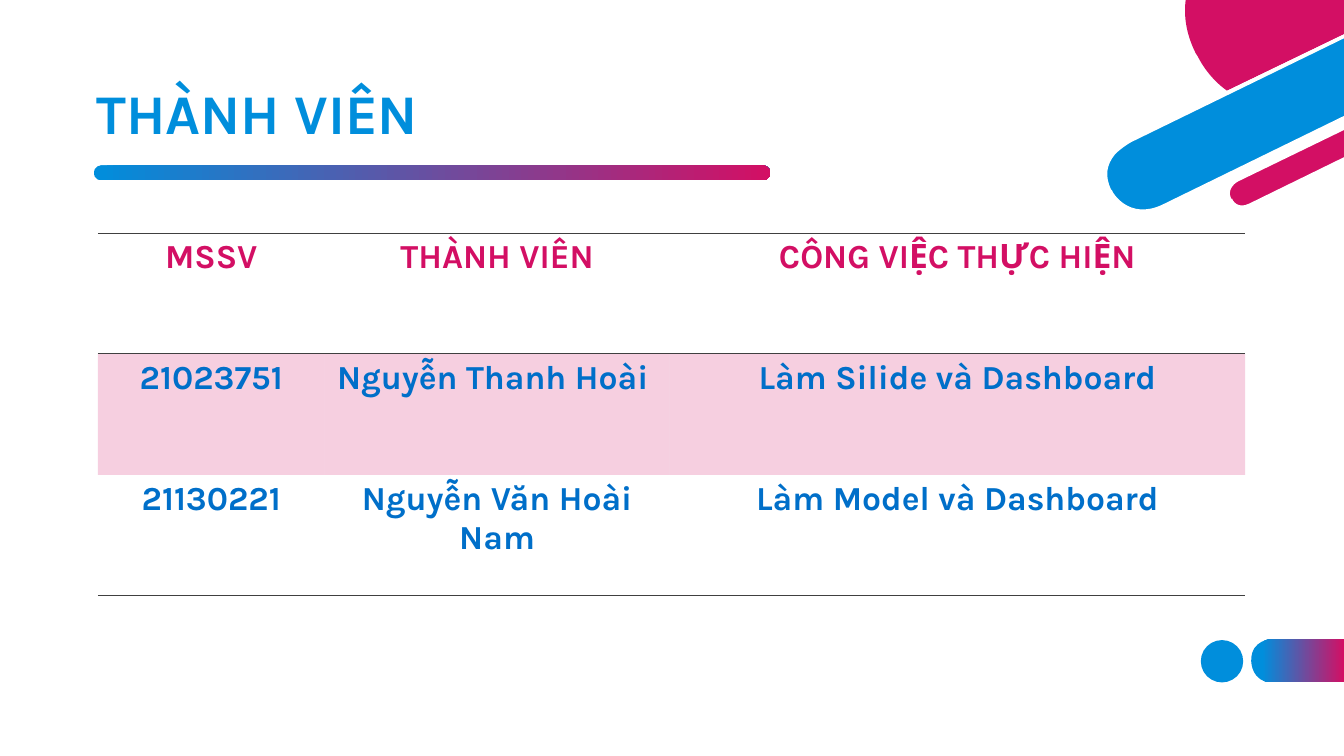
from lxml.etree import SubElement
from pptx import Presentation
from pptx.dml.color import RGBColor
from pptx.enum.shapes import MSO_SHAPE as Preset
from pptx.enum.text import MSO_ANCHOR as Anchor, PP_ALIGN as Align
from pptx.oxml.ns import qn
from pptx.util import Inches, Pt

COLORS = {"blue": "008EDC", "pink": "D30F64", "white": "FFFFFF", "text": "006FC9", "rule": "404040"}
FONT = "Karla"
WIDTH, HEIGHT = 13.33, 7.5

presentation = Presentation()
presentation.slide_width, presentation.slide_height = Inches(WIDTH), Inches(HEIGHT)
slide = presentation.slides.add_slide(presentation.slide_layouts[6])
shapes = slide.shapes


def write(frame, text, size=24, color="text", align=Align.CENTER, spacing=1.0):
    paragraph = frame.paragraphs[0]
    paragraph.alignment = align
    paragraph.line_spacing = spacing
    run = paragraph.add_run()
    run.text = text
    run.font.name, run.font.size, run.font.bold = FONT, Pt(size), True
    run.font.color.rgb = RGBColor.from_string(COLORS[color])


def paint(shape, color, fade_from=None):
    shape.shadow.inherit = False
    shape.line.fill.background()
    if fade_from is None:
        shape.fill.solid()
        shape.fill.fore_color.rgb = RGBColor.from_string(COLORS[color])
        return
    shape.fill.gradient()
    shape.fill.gradient_angle = 0
    for stop, name, position in zip(shape.fill.gradient_stops, (color, "pink"), (fade_from, 1)):
        stop.color.rgb = RGBColor.from_string(COLORS[name])
        stop.position = position


dot = shapes.add_shape(Preset.OVAL, Inches(11.91), Inches(6.35), Inches(0.42), Inches(0.42))
paint(dot, "blue")

# Two numbers are a corner, six are a Bézier curve.
OUTLINES = [
    ("blue", 0.12, [
        (12.62, 6.77), (WIDTH, 6.77), (WIDTH, 6.34), (12.62, 6.34),
        (12.62, 6.34, 12.41, 6.34, 12.41, 6.55), (12.41, 6.56),
        (12.41, 6.56, 12.41, 6.77, 12.62, 6.77)]),
    ("white", None, [
        (WIDTH, 0.81), (13.06, 0.94), (12.74, 1.1, 12.44, 1.08, 12.19, 0.89),
        (11.99, 0.74, 11.89, 0.55, 11.89, 0.55), (11.88, 0.52),
        (11.79, 0.34, 11.75, 0.16, 11.78, 0), (11.74, 0),
        (11.71, 0.17, 11.75, 0.35, 11.84, 0.54), (11.86, 0.57),
        (11.86, 0.58, 11.96, 0.77, 12.16, 0.92), (12.28, 1.01, 12.44, 1.09, 12.65, 1.09),
        (12.77, 1.09, 12.91, 1.06, 13.08, 0.98), (WIDTH, 0.86)]),
    ("blue", None, [
        (11.21, 1.39), (11.21, 1.39, 10.85, 1.57, 11.01, 1.89), (11.01, 1.9),
        (11.01, 1.9, 11.17, 2.22, 11.54, 2.04), (WIDTH, 1.17), (WIDTH, 0.36)]),
    ("pink", None, [
        (11.88, 0.56), (11.88, 0.56, 11.97, 0.76, 12.17, 0.9), (WIDTH, 0.34), (WIDTH, 0),
        (11.76, 0), (11.74, 0.15, 11.76, 0.33, 11.86, 0.53)]),
    ("pink", None, [
        (WIDTH, 1.26), (12.27, 1.78), (12.27, 1.78, 12.13, 1.85, 12.2, 1.97), (12.2, 1.98),
        (12.2, 1.98, 12.26, 2.11, 12.4, 2.04), (WIDTH, 1.58)]),
    ("white", None, [
        (12.39, 2.02), (12.27, 2.08, 12.22, 1.98, 12.22, 1.97), (12.21, 1.97),
        (12.16, 1.86, 12.28, 1.8, 12.28, 1.8), (WIDTH, 1.29), (WIDTH, 1.24), (12.26, 1.76),
        (12.26, 1.76, 12.19, 1.8, 12.17, 1.87), (12.15, 1.91, 12.16, 1.95, 12.18, 1.99),
        (12.2, 2.03, 12.25, 2.08, 12.32, 2.08), (12.35, 2.08, 12.38, 2.08, 12.41, 2.06),
        (WIDTH, 1.61), (WIDTH, 1.56)]),
    ("white", None, [
        (11.53, 2.03), (11.19, 2.19, 11.03, 1.9, 11.03, 1.89), (11.02, 1.88),
        (10.96, 1.75, 10.97, 1.64, 11.06, 1.53), (11.13, 1.46, 11.22, 1.41, 11.22, 1.41),
        (WIDTH, 0.38), (WIDTH, 0.34), (11.2, 1.37), (11.19, 1.38, 11.02, 1.46, 10.96, 1.63),
        (10.93, 1.71, 10.94, 1.8, 10.99, 1.9), (10.99, 1.91),
        (10.99, 1.91, 11.1, 2.12, 11.33, 2.12), (11.39, 2.12, 11.46, 2.1, 11.54, 2.06),
        (WIDTH, 1.19), (WIDTH, 1.15)]),
]
for color, fade_from, outline in OUTLINES:
    points = [
        (Inches(segment[i]), Inches(segment[i + 1]))
        for segment in outline for i in range(0, len(segment), 2)]
    builder = shapes.build_freeform(*points[0])
    builder.add_line_segments(points[1:], close=True)
    shape = builder.convert_to_shape()
    lines = iter(shape._element.findall(".//" + qn("a:lnTo")))
    for segment in outline[1:]:
        curve = next(lines)
        if len(segment) == 6:
            curve.tag = qn("a:cubicBezTo")
            for line in (next(lines), next(lines)):
                curve.append(line[0])
                line.getparent().remove(line)
    paint(shape, color, fade_from)

underline = shapes.add_shape(Preset.ROUNDED_RECTANGLE, Inches(0.93), Inches(1.64), Inches(6.71), Inches(0.15))
underline.adjustments[0] = 0.5
paint(underline, "blue", 0)

MEMBERS = [
    ("MSSV", "THÀNH VIÊN", "CÔNG VIỆC THỰC HIỆN"),
    ("21023751", "Nguyễn Thanh Hoài ", "Làm Silide và Dashboard"),
    ("21130221", "Nguyễn Văn Hoài Nam", "Làm Model và Dashboard"),
]
COLUMN_WIDTHS = (2.25, 3.42, 5.71)
ROW_HEIGHT = 1.2
SIDES = ("a:lnL", "a:lnR", "a:lnT", "a:lnB")
RULES = [("a:lnT", "a:lnB"), ("a:lnT",), ("a:lnB",)]

table = shapes.add_table(
    len(MEMBERS), len(COLUMN_WIDTHS), Inches(0.97), Inches(2.31),
    Inches(sum(COLUMN_WIDTHS)), Inches(ROW_HEIGHT * len(MEMBERS))).table
table._tbl.tblPr.find(qn("a:tableStyleId")).text = "{2D5ABB26-0587-4C30-8999-92F81FD0307C}"
for column, width in zip(table.columns, COLUMN_WIDTHS):
    column.width = Inches(width)
for row_index, member in enumerate(MEMBERS):
    table.rows[row_index].height = Inches(ROW_HEIGHT)
    for column_index, text in enumerate(member):
        cell = table.cell(row_index, column_index)
        write(cell.text_frame, text, color="text" if row_index else "pink")
        properties = cell._tc.get_or_add_tcPr()
        for side in SIDES:
            if side in RULES[row_index]:
                border = SubElement(properties, qn(side), w=str(Pt(0.5)))
                SubElement(SubElement(border, qn("a:solidFill")), qn("a:srgbClr"), val=COLORS["rule"])
            else:
                SubElement(SubElement(properties, qn(side), w="0"), qn("a:noFill"))
        if row_index == 1:
            cell.fill.solid()
            cell.fill.fore_color.rgb = RGBColor.from_string(COLORS["pink"])
            tint = properties.find(qn("a:solidFill")).find(qn("a:srgbClr"))
            SubElement(tint, qn("a:alpha"), val="20000")
        else:
            cell.fill.background()

title = shapes.add_textbox(Inches(0.86), Inches(0.8), Inches(11.07), Inches(0.71)).text_frame
title.word_wrap = True
title.vertical_anchor = Anchor.MIDDLE
write(title, "THÀNH VIÊN", size=40, color="blue", align=Align.LEFT, spacing=0.9)

presentation.save("out.pptx")
